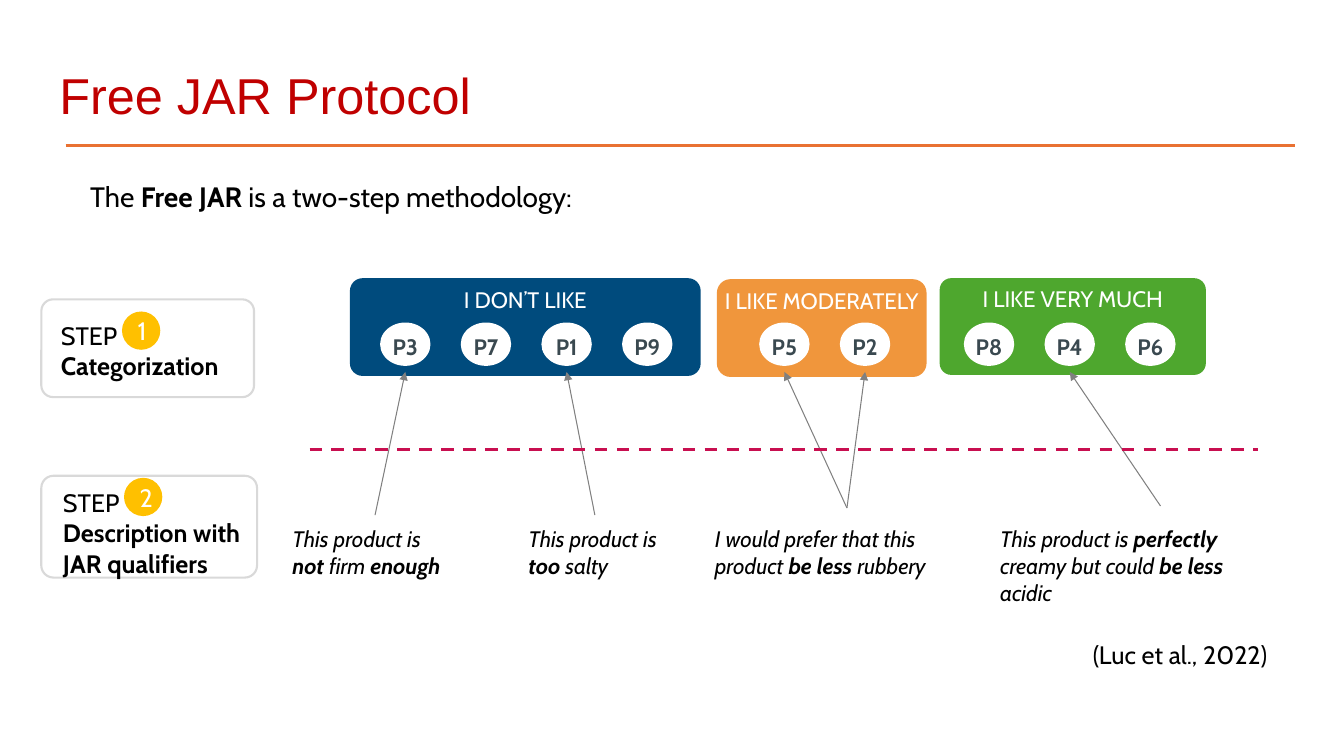
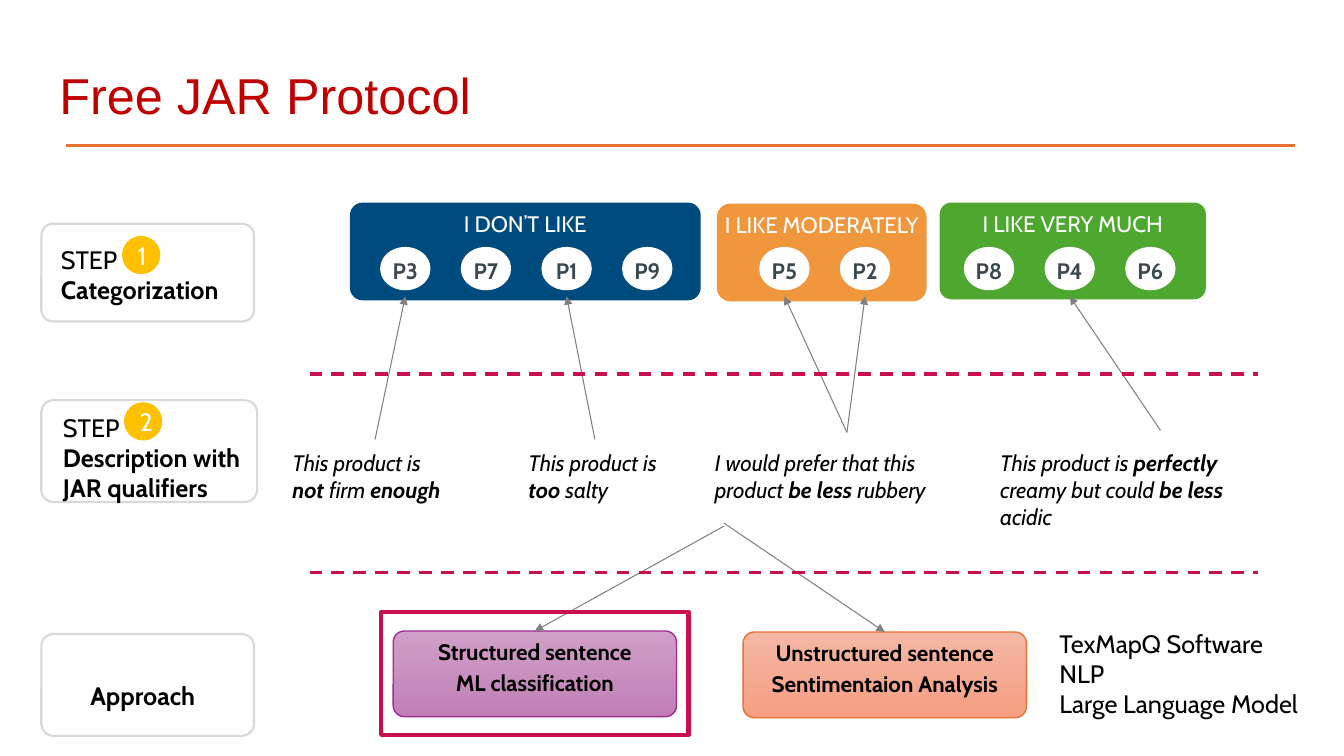
"""Builds two slides that explain the Free JAR protocol."""
from lxml import etree
from pptx import Presentation
from pptx import util as u
from pptx.dml.color import RGBColor
from pptx.enum import dml, shapes, text
from pptx.oxml.ns import qn

colour_of = RGBColor.from_string
ROUND = shapes.MSO_SHAPE.ROUNDED_RECTANGLE
OVAL = shapes.MSO_SHAPE.OVAL
LEFT, CENTER, JUSTIFY = text.PP_ALIGN.LEFT, text.PP_ALIGN.CENTER, text.PP_ALIGN.JUSTIFY
TOP, MIDDLE = text.MSO_ANCHOR.TOP, text.MSO_ANCHOR.MIDDLE
BLACK, WHITE, GREY, CRIMSON, ORANGE = "000000", "FFFFFF", "808080", "C80F50", "E97132"
INSET = (0.1, 0.05, 0.1, 0.05)
FLUSH = (0, 0, 0, 0)


def add_box(page, kind, at, lines=(), fill=(), outline=None, weight=1, corner=None,
            size=18, colour=BLACK, font="Cabin", italic=False, align=LEFT,
            anchor=TOP, inset=INSET, spacing=1, wrap=True):
    """Add a shape, or a text box if kind is None; lines hold (text, bold) runs."""
    place = [u.Inches(value) for value in at]
    if kind is None:
        box = page.shapes.add_textbox(*place)
    else:
        box = page.shapes.add_shape(kind, *place)
        box.shadow.inherit = False
        if len(fill) == 2:
            box.fill.gradient()
            box.fill.gradient_angle = 270
            for stop, shade in zip(box.fill.gradient_stops, fill):
                stop.color.rgb = colour_of(shade)
        elif fill:
            box.fill.solid()
            box.fill.fore_color.rgb = colour_of(fill[0])
        else:
            box.fill.background()
        if outline:
            box.line.color.rgb = colour_of(outline)
            box.line.width = u.Pt(weight)
        else:
            box.line.fill.background()
        if corner:
            box.adjustments[0] = corner
    frame = box.text_frame
    frame.word_wrap = wrap
    frame.vertical_anchor = anchor
    (frame.margin_left, frame.margin_top,
     frame.margin_right, frame.margin_bottom) = [u.Inches(value) for value in inset]
    for number, runs in enumerate(lines):
        para = frame.add_paragraph() if number else frame.paragraphs[0]
        para.alignment = align
        para.line_spacing = spacing
        for words, bold in runs:
            span = para.add_run()
            span.text = words
            span.font.name = font
            span.font.size = u.Pt(size)
            span.font.bold = bold
            span.font.italic = italic
            span.font.color.rgb = colour_of(colour)
    return box


def add_line(page, start, end, colour, weight, dashed=False, arrow=False):
    """Add a straight line, dashed or with an arrowhead at its end if asked."""
    line = page.shapes.add_connector(
        shapes.MSO_CONNECTOR.STRAIGHT, *[u.Inches(value) for value in (*start, *end)])
    line.line.color.rgb = colour_of(colour)
    line.line.width = u.Pt(weight)
    if dashed:
        line.line.dash_style = dml.MSO_LINE.DASH
    if arrow:
        etree.SubElement(line.line._get_or_add_ln(), qn("a:tailEnd"), type="triangle")
    etree.SubElement(line._element.spPr, qn("a:effectLst"))
    return line


categories = [
    ("I DON’T LIKE", "004B7D", 0.13, (3.47, 2.76, 3.48, 0.97), 3.77, ["P3", "P7", "P1", "P9"]),
    ("I LIKE MODERATELY", "F0963C", 0.14, (7.11, 2.77, 2.08, 0.97), 7.53, ["P5", "P2"]),
    ("I LIKE VERY MUCH", "4EA72E", 0.12, (9.32, 2.76, 2.64, 0.96), 9.56, ["P8", "P4", "P6"]),
]
comments = [
    ((2.85, 1.73), (3.72, 5.11), ["P3"],
     [("This product is ", False), ("not ", True), ("firm", False), (" enough", True)]),
    ((5.19, 1.42), (5.9, 5.11), ["P1"],
     [("This product is ", False), ("too ", True), ("salty", False)]),
    ((7.04, 2.72), (8.4, 5.04), ["P5", "P2"],
     [("I would prefer that this product ", False), ("be less ", True), ("rubbery", False)]),
    ((9.87, 2.72), (11.51, 5.02), ["P4"],
     [("This product is ", False), ("perfectly ", True), ("creamy but could ", False),
      ("be less ", True), ("acidic", False)]),
]
steps = [
    ("1", (0.41, 2.97, 2.11, 0.97), (0.16, 0.17, 0, 0), (1.21, 3.09), ["Categorization"]),
    ("2", (0.41, 4.72, 2.14, 1.01), (0.18, 0.08, 0, 0), (1.23, 4.74),
     ["Description with", "JAR qualifiers"]),
]
approaches = [
    (["Structured sentence", "ML classification"], (3.9, 6.26), ("D0A0C8", "C17FB6"),
     "A02B93", (7.18, 5.22)),
    (["Unstructured sentence", "Sentimentaion Analysis"], (7.37, 6.27), ("F5B8A5", "F59E82"),
     ORANGE, (7.18, 5.19)),
]
card = dict(outline="D9D9D9", weight=1.5, corner=0.12, align=JUSTIFY)

deck = Presentation()
deck.slide_width, deck.slide_height = u.Inches(13.33), u.Inches(7.5)
pages = []

for lift in (0, 0.75):
    page = deck.slides.add_slide(deck.slide_layouts[6])
    pages.append(page)
    add_line(page, (0.65, 1.44), (12.84, 1.44), ORANGE, 2.25)
    add_box(page, None, (0.49, 0.59, 11.12, 0.71), [[("Free JAR Protocol", False)]],
            size=36, colour="C00000", font="Arial")

    centres = {}
    for label, fill, corner, (left, top, width, height), first, products in categories:
        add_box(page, ROUND, (left, top - lift, width, height), [[(label, False)]],
                fill=[fill], corner=corner, size=16, colour=WHITE, align=CENTER,
                inset=FLUSH, spacing=1.15)
        for number, product in enumerate(products):
            left = first + 0.8 * number
            centres[product] = left + 0.25
            add_box(page, OVAL, (left, 3.2 - lift, 0.5, 0.43), [[(product, True)]],
                    fill=[WHITE], size=16, colour="3A4950", align=CENTER, anchor=MIDDLE,
                    inset=(0, 0.05, 0, 0.05), spacing=1.15)

    for (left, width), (x, y), products, runs in comments:
        add_box(page, None, (left, 5.21 - lift, width, 0.55), [runs], size=16,
                italic=True, inset=(0.05, 0, 0.05, 0.05))
        for product in products:
            add_line(page, (x, y - lift), (centres[product], 3.69 - lift), GREY, 0.75,
                     arrow=True)

    add_line(page, (3.07, 4.46 - lift), (12.48, 4.46 - lift), CRIMSON, 2.25, dashed=True)
    for digit, (left, top, width, height), inset, (x, y), names in steps:
        add_box(page, ROUND, (left, top - lift, width, height),
                [[("STEP", False)]] + [[(name, True)] for name in names],
                inset=inset, **card)
        add_box(page, OVAL, (x, y - lift, 0.38, 0.38), [[(digit, False)]],
                fill=["FFC000"], colour=WHITE, align=CENTER, anchor=MIDDLE)

protocol_page, approach_page = pages
add_box(protocol_page, None, (0.74, 1.73, 5.09, 0.44),
        [[("The ", False), ("Free JAR ", True), ("is a two-step methodology:", False)]],
        size=20, align=CENTER, wrap=False)
add_box(protocol_page, None, (10.74, 6.29, 2.1, 0.4), [[("(Luc et al., 2022)", False)]])

add_box(approach_page, ROUND, (0.41, 6.29, 2.11, 1.01), [[("Approach", True)]],
        inset=(0.45, 0.42, 0, 0), **card)
for names, (left, top), fill, outline, start in approaches:
    box = add_box(approach_page, ROUND, (left, top, 2.81, 0.85),
                  [[(name, True)] for name in names], fill=fill, outline=outline,
                  corner=0.13, size=16, align=CENTER, inset=FLUSH, spacing=1.15)
    arrow = add_line(approach_page, start, (left + 1.4, top), GREY, 0.75, arrow=True)
    arrow.end_connect(box, 0)
add_line(approach_page, (3.07, 5.68), (12.48, 5.68), CRIMSON, 2.25, dashed=True)
add_box(approach_page, shapes.MSO_SHAPE.RECTANGLE, (3.78, 6.07, 3.05, 1.22),
        outline=CRIMSON, weight=3)
add_box(approach_page, None, (10.41, 6.18, 2.64, 1.01),
        [[(name, False)] for name in ("TexMapQ Software", "NLP", "Large Language Model")],
        wrap=False)

deck.save("out.pptx")
